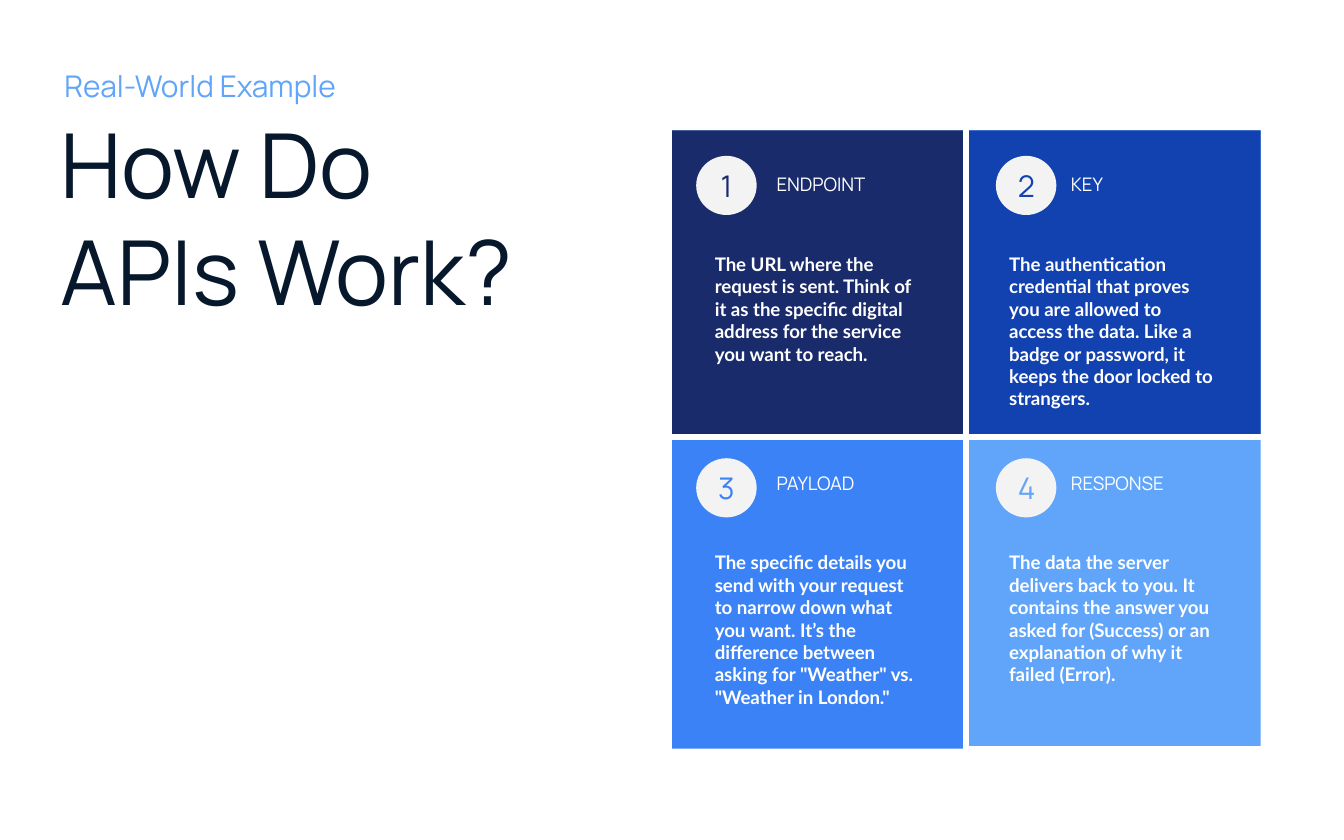
from lxml import etree
from pptx import Presentation
from pptx.dml.color import RGBColor
from pptx.enum.shapes import MSO_CONNECTOR, MSO_SHAPE
from pptx.enum.text import MSO_ANCHOR, MSO_AUTO_SIZE, PP_ALIGN
from pptx.oxml.ns import qn
from pptx.util import Pt

PX = 9144  # 100 px to the inch
RECT, OVAL = MSO_SHAPE.RECTANGLE, MSO_SHAPE.OVAL
TOP, MIDDLE, BOTTOM = MSO_ANCHOR.TOP, MSO_ANCHOR.MIDDLE, MSO_ANCHOR.BOTTOM
LEFT, CENTER = PP_ALIGN.LEFT, PP_ALIGN.CENTER
GROW, FIXED = MSO_AUTO_SIZE.SHAPE_TO_FIT_TEXT, MSO_AUTO_SIZE.NONE
STRAIGHT = MSO_CONNECTOR.STRAIGHT

HEAD, BODY = "Manrope", "Lato"
COLORS = {
    "ink": "07182C",
    "white": "FFFFFF",
    "badge": "F3F3F3",
    "navy": "1A2B6B",
    "royal": "1241B0",
    "blue": "3B82F6",
    "sky": "60A5FA",
}

GRID_X, GRID_Y = 500, 97
TILE_W, TILE_H = 219, 230
BADGE_X, LABEL_X, BODY_X = (518, 741), (568, 787), (522, 741)
BADGE_Y, LABEL_Y, BODY_Y = (116, 341), (120, 343), (178, 400)

CARDS = [
    ("ENDPOINT", "navy", 104,
     "The URL where the request is sent. Think of it as the specific digital "
     "address for the service you want to reach."),
    ("KEY", "royal", 121,
     "The authentication credential that proves you are allowed to access the "
     "data. Like a badge or password, it keeps the door locked to strangers."),
    ("PAYLOAD", "blue", 138,
     "The specific details you send with your request to narrow down what you "
     "want. It’s the difference between asking for \"Weather\" vs. "
     "\"Weather in London.\""),
    ("RESPONSE", "sky", 121,
     "The data the server delivers back to you. It contains the answer you "
     "asked for (Success) or an explanation of why it failed (Error)."),
]


def px(*values):
    return [v * PX for v in values]


def rgb(name):
    return RGBColor.from_string(COLORS[name])


class Deck:
    def __init__(self, width, height):
        self.prs = Presentation()
        self.prs.slide_width, self.prs.slide_height = px(width, height)
        self.s = self.prs.slides.add_slide(self.prs.slide_layouts[6])

    def set_text(self, sp, text, size, color, font=HEAD, bold=False,
                 align=LEFT, anchor=TOP, inset=10, fit=FIXED):
        """Fill a shape with one paragraph; newlines become line breaks."""
        tf = sp.text_frame
        tf.word_wrap = True
        tf.auto_size = fit
        tf.vertical_anchor = anchor
        tf.margin_left = tf.margin_right = inset * PX
        tf.margin_top = tf.margin_bottom = inset * PX
        p = tf.paragraphs[0]
        p.alignment = align
        for i, line in enumerate(text.split("\n")):
            if i:
                p.add_line_break()
            r = p.add_run()
            r.text = line
            r.font.name, r.font.size, r.font.bold = font, Pt(size), bold
            r.font.color.rgb = rgb(color)

    def text(self, box, text, size, color, **style):
        self.set_text(self.s.shapes.add_textbox(*px(*box)), text, size, color, **style)

    def shape(self, kind, box, fill):
        sp = self.s.shapes.add_shape(kind, *px(*box))
        sp.shadow.inherit = False
        sp.fill.solid()
        sp.fill.fore_color.rgb = rgb(fill)
        sp.line.fill.background()
        return sp

    def badge(self, x, y, number, color):
        sp = self.shape(OVAL, (x, y, 45, 44), "badge")
        self.set_text(sp, number, 16, color, align=CENTER, anchor=MIDDLE)

    def line(self, x1, y1, x2, y2, color, width):
        sp = self.s.shapes.add_connector(STRAIGHT, *px(x1, y1, x2, y2))
        sp.line.color.rgb = rgb(color)
        sp.line.width = Pt(width)
        etree.SubElement(sp._element.spPr, qn("a:effectLst"))


def main():
    deck = Deck(1000, 625)
    deck.text((45, 51, 548, 190), "How Do\nAPIs Work?", 48, "ink",
              anchor=BOTTOM, inset=0)
    deck.text((48, 50, 400, 27), "Real-World Example", 16, "sky",
              anchor=MIDDLE, inset=0, fit=GROW)

    # The backdrop shows through as the fourth tile
    deck.shape(RECT, (GRID_X, GRID_Y, 2 * TILE_W, 458), "sky")
    for i, (_, color, _, _) in enumerate(CARDS[:3]):
        row, col = divmod(i, 2)
        deck.shape(RECT, (GRID_X + col * TILE_W, GRID_Y + row * TILE_H,
                          TILE_W, TILE_H), color)
    deck.line(481, 325, 950, 325, "white", 3)
    deck.line(GRID_X + TILE_W, 584, GRID_X + TILE_W, 59, "white", 3)

    for i, (label, color, height, body) in enumerate(CARDS):
        row, col = divmod(i, 2)
        deck.badge(BADGE_X[col], BADGE_Y[row], str(i + 1), color)
        deck.text((LABEL_X[col], LABEL_Y[row], 128, 37), label, 10, "white", fit=GROW)
        deck.text((BODY_X[col], BODY_Y[row], 175, height), body, 10, "white",
                  font=BODY, bold=True, fit=GROW)

    deck.prs.save("out.pptx")


if __name__ == "__main__":
    main()
